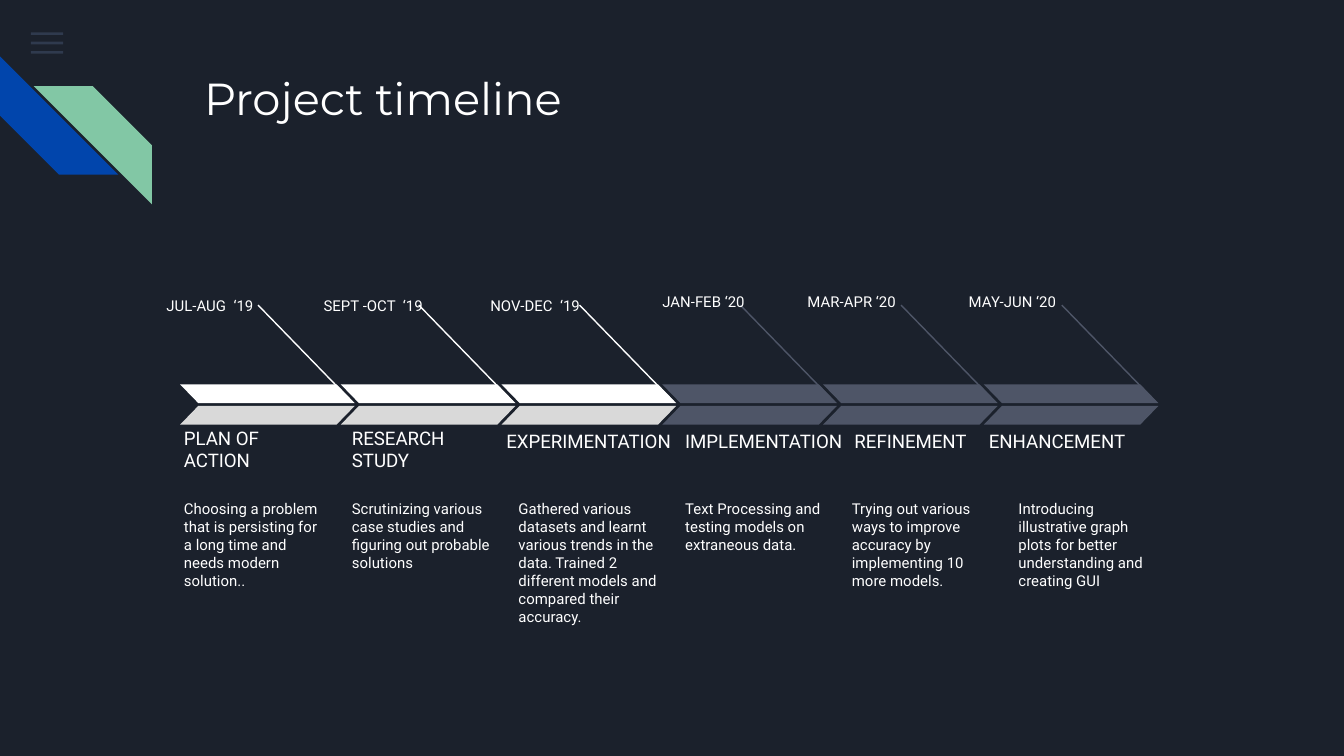
from pptx import Presentation
from pptx.dml.color import RGBColor
from pptx.enum.shapes import MSO_CONNECTOR, MSO_SHAPE
from pptx.enum.text import MSO_ANCHOR
from pptx.oxml.ns import qn
from pptx.util import Inches, Pt
from lxml.etree import SubElement

WHITE, LIGHT, SLATE = "FFFFFF", "D9D9D9", "4E5567"
rgb = RGBColor.from_string

# Widescreen 16:9
prs = Presentation()
prs.slide_width, prs.slide_height = Inches(10), Inches(10 * 9 / 16)
s = prs.slides.add_slide(prs.slide_layouts[6])
s.background.fill.solid()
s.background.fill.fore_color.rgb = rgb("1B212C")


def add_shape(kind, box, color, adj=None, flip=False):
    sp = s.shapes.add_shape(kind, *map(Inches, box))
    sp.shadow.inherit = False
    sp.fill.solid()
    sp.fill.fore_color.rgb = rgb(color)
    sp.line.fill.background()
    if adj is not None:
        sp.adjustments[0] = adj
    if flip:
        sp._element.spPr.xfrm.set("flipH", "1")
    return sp


def add_text(text, box, size, font="Roboto", anchor=MSO_ANCHOR.TOP, after=0):
    tf = s.shapes.add_textbox(*map(Inches, box)).text_frame
    frame = {"word_wrap": True, "vertical_anchor": anchor}
    for side in ("left", "top", "right", "bottom"):
        frame[f"margin_{side}"] = Inches(0.1)
    for name, value in frame.items():
        setattr(tf, name, value)
    p = tf.paragraphs[0]
    p.space_after = Pt(after)
    r = p.add_run()
    r.text = text
    for name, value in {"name": font, "size": Pt(size)}.items():
        setattr(r.font, name, value)
    r.font.color.rgb = rgb(WHITE)


# Menu bars
for i in range(3):
    sp = add_shape(MSO_SHAPE.RECTANGLE, (0.23, 0.24 + 0.07 * i, 0.24, 0.02), "55688B")
    color = sp._element.spPr.find(qn("a:solidFill"))[0]
    SubElement(color, qn("a:alpha"), val="36000")

# Corner stripes
sp = add_shape(MSO_SHAPE.DIAGONAL_STRIPE, (0, 0.42, 0.88, 0.88), "0145AC", 0.5)
sp.rotation = 270
add_shape(MSO_SHAPE.DIAGONAL_STRIPE, (0.25, 0.64, 0.88, 0.88), "82C7A5", 0.5, flip=True)

# Title
add_text("Project timeline", (1.42, 0.43, 7.7, 1), 24, "Montserrat")

# Each phase: date and its box, heading and its box, description and its box
phases = [
    ("JUL-AUG  ‘19", (1.14, 2.14, 1.03, 0.23),
     "PLAN OF ACTION", (1.27, 3.17, 1.28, 0.44),
     "Choosing a problem that is persisting for a long time and needs modern solution..",
     (1.27, 3.62, 1.25, 0.93)),
    ("SEPT -OCT  ‘19", (2.31, 2.14, 1, 0.23),
     "RESEARCH STUDY", (2.52, 3.17, 1.24, 0.44),
     "Scrutinizing various case studies and figuring out probable solutions",
     (2.52, 3.62, 1.24, 1)),
    ("NOV-DEC  ‘19", (3.55, 2.14, 1.03, 0.23),
     "EXPERIMENTATION", (3.67, 3.01, 1.53, 0.44),
     "Gathered various datasets and learnt various trends in the data. "
     "Trained 2 different models and compared their accuracy.",
     (3.76, 3.62, 1.24, 1.47)),
    ("JAN-FEB ‘20", (4.83, 2.11, 0.83, 0.23),
     "IMPLEMENTATION", (5, 3.16, 1.47, 0.29),
     "Text Processing and testing models on extraneous data.",
     (5, 3.62, 1.24, 0.73)),
    ("MAR-APR ‘20", (5.91, 2.11, 0.94, 0.23),
     "REFINEMENT", (6.26, 3.16, 1.24, 0.29),
     "Trying out various ways to improve accuracy by implementing 10 more models.",
     (6.24, 3.62, 1.24, 0.93)),
    ("MAY-JUN ‘20", (7.11, 2.11, 0.94, 0.23),
     "ENHANCEMENT", (7.26, 3.16, 1.24, 0.29),
     "Introducing illustrative graph plots for better understanding and creating GUI",
     (7.48, 3.62, 1.24, 0.73)),
]
first_left, last_left, done = 1.34, 7.32, 3
step = (last_left - first_left) / (len(phases) - 1)

for i, (date, date_box, heading, heading_box, detail, detail_box) in enumerate(phases):
    left = first_left + step * i
    upper, lower = (WHITE, LIGHT) if i < done else (SLATE, SLATE)

    # Leader line
    line = s.shapes.add_connector(
        MSO_CONNECTOR.STRAIGHT, Inches(left + 0.58), Inches(2.27),
        Inches(left + 1.28), Inches(2.99))
    line.line.color.rgb = rgb(upper)
    line.line.width = Pt(0.75)
    SubElement(line._element.spPr, qn("a:effectLst"))

    # Chevron halves
    add_shape(MSO_SHAPE.PARALLELOGRAM, (left, 2.86, 1.3, 0.14), upper, 0.97, flip=True)
    add_shape(MSO_SHAPE.PARALLELOGRAM, (left, 3.02, 1.3, 0.14), lower, 0.97)

    # Labels
    add_text(date, date_box, 8)
    add_text(heading, heading_box, 10, anchor=MSO_ANCHOR.BOTTOM)
    add_text(detail, detail_box, 8, after=16)

prs.save("out.pptx")
